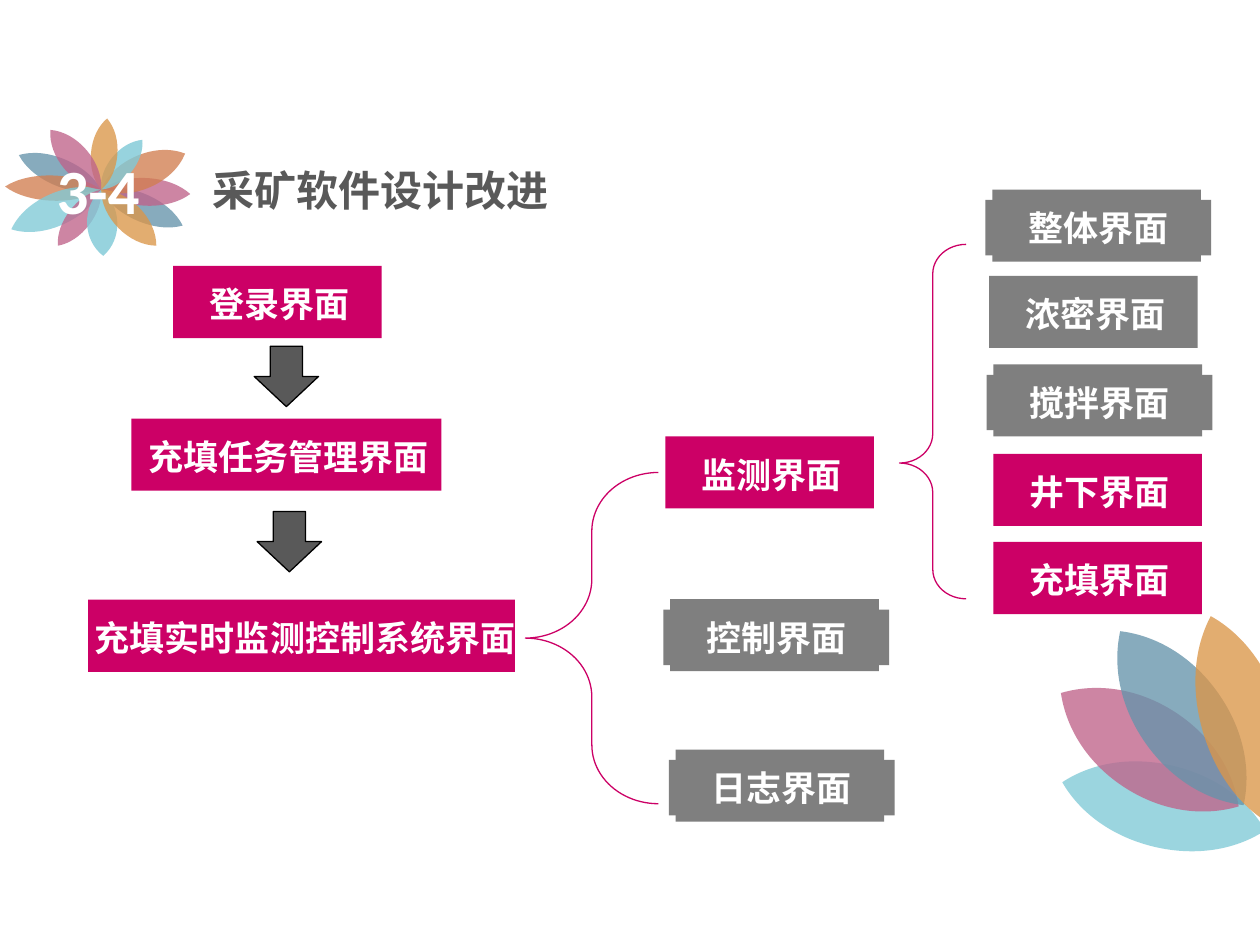
"""Builds the slide on redesigning the screens of mining software."""
import math

import pptx
import pptx.util
from pptx.dml.color import RGBColor
from pptx.enum.shapes import MSO_SHAPE
from pptx.enum.text import MSO_AUTO_SIZE, PP_ALIGN
from pptx.oxml.ns import qn

Pt = pptx.util.Pt
MAGENTA = RGBColor(0xCC, 0x00, 0x66)
GREY = RGBColor(0x7F, 0x7F, 0x7F)
DARK = RGBColor(0x59, 0x59, 0x59)
WHITE = RGBColor(0xFF, 0xFF, 0xFF)
BLACK = RGBColor(0x00, 0x00, 0x00)
TEAL = RGBColor(0x80, 0xCA, 0xD7)
PINK = RGBColor(0xBF, 0x63, 0x8A)
BLUE = RGBColor(0x66, 0x94, 0xAB)
ORANGE = RGBColor(0xDB, 0x96, 0x49)
RUST = RGBColor(0xD2, 0x7E, 0x50)
CHINESE = "Noto Sans CJK SC"

CORNER_PETALS = [
    ((607, 447), (723, 474.5), 47.5, TEAL, 78),
    ((606.2, 396), (707.8, 460.8), 51.8, PINK, 78),
    ((640.1, 360.7), (710.6, 460.1), 50.4, BLUE, 78),
    ((727.2, 471.6), (691.9, 352.1), 46.1, ORANGE, 78),
]
FLOWER_HEART = (57.8, 108.4)
FLOWER_TIPS = [
    ((10.8, 88.6), 15.8, BLUE, 78), ((104.4, 128.9), 15.8, BLUE, 78),
    ((2.9, 106.6), 14.4, RUST, 78), ((108.7, 110.9), 15.8, PINK, 78),
    ((6.5, 131), 18.7, TEAL, 78), ((105.8, 87.8), 19.4, RUST, 78),
    ((33.1, 140.4), 13.7, PINK, 78), ((81.4, 79.9), 13.7, TEAL, 81),
    ((61.2, 67.7), 15.1, ORANGE, 78), ((59, 146.2), 17.3, TEAL, 81),
    ((28.8, 74.2), 16.6, PINK, 78), ((89.3, 140.4), 16.6, ORANGE, 78),
]
HEADINGS = [
    ("3-4", 25.2, 82.8, 78.5, 51, 36, "Calibri", WHITE, PP_ALIGN.LEFT),
    ("采矿软件设计改进", 103.7, 90.7, 227.5, 36.7, 24, CHINESE, DARK, PP_ALIGN.CENTER),
]
MAIN_SCREENS = [
    ("登录界面", 98.9, 152, 119.2, 129, MAGENTA, False),
    ("充填任务管理界面", 75, 239.2, 177.2, 192.2, MAGENTA, False),
    ("充填实时监测控制系统界面", 50.4, 342.7, 243.9, 264.2, MAGENTA, False),
]
SYSTEM_SCREENS = [
    ("监测界面", 380.2, 249.4, 119.2, 129, MAGENTA, False),
    ("控制界面", 383, 342.4, 119.2, 129, GREY, True),
    ("日志界面", 386.1, 428.3, 119.2, 129, GREY, True),
]
MONITOR_SCREENS = [
    ("整体界面", 567, 108.3, 119.2, 129, GREY, True),
    ("浓密界面", 565.2, 157.7, 119.2, 129, GREY, False),
    ("搅拌界面", 567.7, 208.2, 119.2, 129, GREY, True),
    ("井下界面", 567.6, 259.4, 119.2, 129, MAGENTA, False),
    ("充填界面", 567.6, 309.7, 119.2, 129, MAGENTA, False),
]
ARROWS = [(146.4, 196.7), (148.1, 291.1)]
SYSTEM_BRACE = (300.2, 270, 76, 189.3, 0.5)
MONITOR_BRACE = (514, 139.7, 38, 202.5, 0.617)
BOX_HEIGHT, LABEL_HEIGHT, LABEL_DROP, LABEL_SHIFT = 41.2, 31.7, 6, 0.008
PETAL_CURVES = [
    [(0.82, 0.12), (1, 0.3), (1, 0.5)],
    [(1, 0.7), (0.82, 0.88), (0.5, 1)],
    [(0.18, 0.88), (0, 0.7), (0, 0.5)],
    [(0, 0.3), (0.18, 0.12), (0.5, 0)],
]


def add_petal(shapes, base, tip, width, color, opacity):
    """Draw one translucent petal from base to tip."""
    length = math.dist(base, tip)
    left = (base[0] + tip[0] - width) / 2
    top = (base[1] + tip[1] - length) / 2
    corners = [(Pt(left + x * width), Pt(top + y * length))
               for *_, (x, y) in PETAL_CURVES]
    builder = shapes.build_freeform(*corners[-1])
    builder.add_line_segments(corners, close=True)
    petal = builder.convert_to_shape()
    outline = petal._element.find(".//" + qn("a:path"))
    for side, curve in zip(outline.findall(qn("a:lnTo")), PETAL_CURVES):
        bend = outline.makeelement(qn("a:cubicBezTo"), {})
        for x, y in curve:
            place = {"x": str(round(x * int(outline.get("w")))),
                     "y": str(round(y * int(outline.get("h"))))}
            bend.append(bend.makeelement(qn("a:pt"), place))
        outline.replace(side, bend)
    petal.rotation = math.degrees(math.atan2(tip[0] - base[0], base[1] - tip[1]))
    paint(petal, color)
    tint = petal._element.spPr.find(qn("a:solidFill"))[0]
    tint.append(tint.makeelement(qn("a:alpha"), {"val": str(opacity * 1000)}))


def paint(shape, fill=None, line=None):
    """Set the fill and outline of a shape and drop its shadow."""
    shape.shadow.inherit = False
    if fill is None:
        shape.fill.background()
    else:
        shape.fill.solid()
        shape.fill.fore_color.rgb = fill
    if line is None:
        shape.line.fill.background()
    else:
        shape.line.color.rgb = line
        shape.line.width = Pt(0.75)


def add_preset(shapes, preset, left, top, width, height, fill=None, line=None):
    """Add a painted preset shape."""
    shape = shapes.add_shape(preset, Pt(left), Pt(top), Pt(width), Pt(height))
    paint(shape, fill, line)
    return shape


def write(shape, words, size, font, color, align):
    """Put one bold line of text in a shape."""
    frame = shape.text_frame
    frame.text = words
    frame.word_wrap = True
    frame.auto_size = MSO_AUTO_SIZE.SHAPE_TO_FIT_TEXT
    frame.paragraphs[0].alignment = align
    run = frame.paragraphs[0].runs[0]
    run.font.size = Pt(size)
    run.font.bold = True
    run.font.color.rgb = color
    run.font.name = font
    properties = run.font._element
    properties.append(properties.makeelement(qn("a:ea"), {"typeface": font}))


def add_screen(shapes, words, left, top, width, label_width, color, filled):
    """Add a screen box with its label on top."""
    group = shapes.add_group_shape().shapes
    add_preset(group, MSO_SHAPE.RECTANGLE, left, top, width, BOX_HEIGHT, color)
    place = (left + (width - label_width) / 2 + LABEL_SHIFT * label_width,
             top + LABEL_DROP, label_width, LABEL_HEIGHT)
    if filled:
        label = add_preset(group, MSO_SHAPE.RECTANGLE, *place, color)
    else:
        label = group.add_textbox(*map(Pt, place))
    write(label, words, 20, CHINESE, WHITE, PP_ALIGN.CENTER)


def add_branch(shapes, brace_place, screens):
    """Add a brace and the screens it opens onto."""
    *place, point = brace_place
    brace = add_preset(shapes, MSO_SHAPE.LEFT_BRACE, *place, line=MAGENTA)
    brace.adjustments[0] = 0.442
    brace.adjustments[1] = point
    for screen in screens:
        add_screen(shapes, *screen)


def main():
    deck = pptx.Presentation()
    deck.slide_width, deck.slide_height = Pt(720), Pt(540)
    shapes = deck.slides.add_slide(deck.slide_layouts[6]).shapes

    corner = shapes.add_group_shape().shapes
    for petal in CORNER_PETALS:
        add_petal(corner, *petal)
    flower = shapes.add_group_shape().shapes
    for petal in FLOWER_TIPS:
        add_petal(flower, FLOWER_HEART, *petal)

    for words, left, top, width, height, *style in HEADINGS:
        heading = shapes.add_textbox(Pt(left), Pt(top), Pt(width), Pt(height))
        write(heading, words, *style)
    for screen in MAIN_SCREENS:
        add_screen(shapes, *screen)
    for left, top in ARROWS:
        arrow = add_preset(shapes, MSO_SHAPE.RIGHT_ARROW, left, top, 34.5, 36.8, DARK, BLACK)
        arrow.rotation = 90
    add_branch(shapes, SYSTEM_BRACE, SYSTEM_SCREENS)
    add_branch(shapes, MONITOR_BRACE, MONITOR_SCREENS)

    deck.save("out.pptx")


if __name__ == "__main__":
    main()
